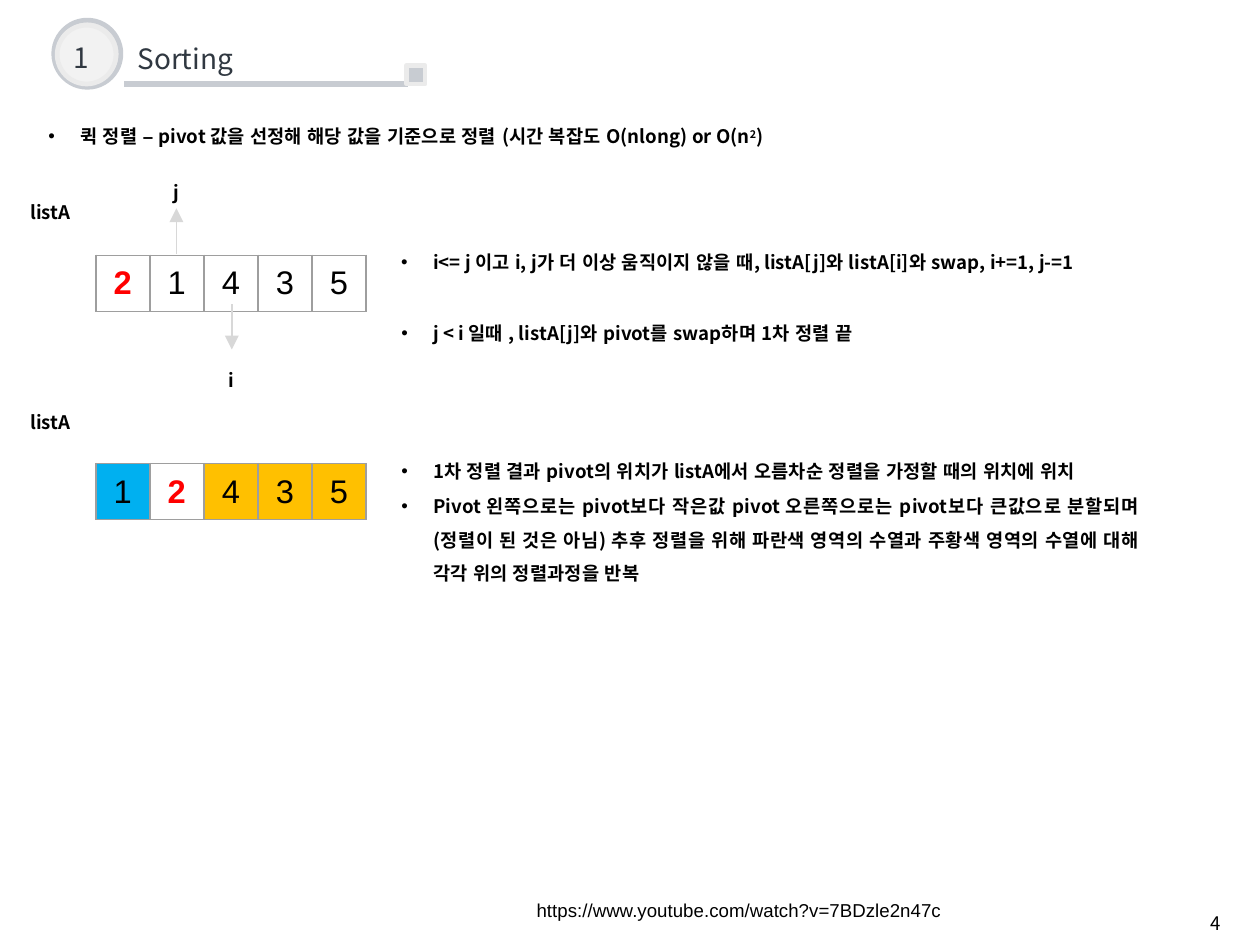
from lxml.etree import SubElement
from pptx import Presentation
from pptx.dml.color import RGBColor
from pptx.enum.shapes import MSO_CONNECTOR, MSO_SHAPE
from pptx.enum.text import MSO_ANCHOR, MSO_AUTO_SIZE, PP_ALIGN
from pptx.oxml.ns import qn
from pptx.util import Inches, Pt

SANS = "Noto Sans CJK KR"
ARIAL = "Arial"
BLACK = RGBColor(0x00, 0x00, 0x00)
RED = RGBColor(0xFF, 0x00, 0x00)
BLUE = RGBColor(0x00, 0xB0, 0xF0)
ORANGE = RGBColor(0xFF, 0xC0, 0x00)
TITLE = RGBColor(0x30, 0x38, 0x41)
FRAME = RGBColor(0xC8, 0xCC, 0xD2)
RIM = RGBColor(0xEB, 0xEB, 0xEB)
DISC = RGBColor(0xF2, 0xF2, 0xF2)
ARROW = RGBColor(0xD8, 0xD8, 0xD8)
BORDER = "9E9E9E"
ARRAY_W, ARRAY_H = 1.61, 0.29


def style_run(r, size, color, name, bold=False):
    f = r.font
    f.size, f.bold, f.name = Pt(size), bold, name
    f.color.rgb = color
    SubElement(r._r.get_or_add_rPr(), qn("a:ea"), typeface=ARIAL)


def add_text(s, box, text, size=8, color=BLACK, name=SANS, bold=False,
             align=PP_ALIGN.LEFT, wrap=True):
    tb = s.shapes.add_textbox(*map(Inches, box))
    tf = tb.text_frame
    tf.word_wrap = wrap
    tf.auto_size = MSO_AUTO_SIZE.NONE
    p = tf.paragraphs[0]
    p.text = text
    p.alignment = align
    style_run(p.runs[0], size, color, name, bold)
    return p


def space_lines(p):
    p.line_spacing = 1.5
    p.space_after = Pt(0.8)


def add_label(s, box, text):
    space_lines(add_text(s, box, text, bold=True, align=PP_ALIGN.CENTER))


def add_bullets(s, box, items):
    """Each item is a list of (text, is_superscript) pieces."""
    tf = s.shapes.add_textbox(*map(Inches, box)).text_frame
    tf.word_wrap = True
    for i, pieces in enumerate(items):
        p = tf.add_paragraph() if i else tf.paragraphs[0]
        p.alignment = PP_ALIGN.JUSTIFY
        space_lines(p)
        pPr = p._p.get_or_add_pPr()
        pPr.set("marL", str(Inches(0.19)))
        pPr.set("indent", str(Inches(-0.19)))
        SubElement(SubElement(pPr, qn("a:buClr")), qn("a:srgbClr"), val=str(BLACK))
        SubElement(pPr, qn("a:buFont"), typeface=ARIAL)
        SubElement(pPr, qn("a:buChar"), char="•")
        for text, is_super in pieces:
            r = p.add_run()
            r.text = text
            style_run(r, 8, BLACK, SANS, bold=True)
            if is_super:
                r._r.get_or_add_rPr().set("baseline", "30000")


def add_plain_shape(s, kind, box, fill, line):
    sp = s.shapes.add_shape(kind, *map(Inches, box))
    sp.shadow.inherit = False
    sp.fill.solid()
    sp.fill.fore_color.rgb = fill
    sp.line.color.rgb = line
    sp.line.width = Pt(2)


def add_line(s, start, end, color, width, arrow=False):
    c = s.shapes.add_connector(MSO_CONNECTOR.STRAIGHT, *map(Inches, start + end))
    c.line.color.rgb = color
    c.line.width = Pt(width)
    if arrow:
        SubElement(c.line._get_or_add_ln(), qn("a:tailEnd"), type="triangle")
    SubElement(c._element.spPr, qn("a:effectLst"))


def add_heading(s, x, y, number, title):
    add_plain_shape(s, MSO_SHAPE.OVAL, (x, y, 0.4, 0.4), RIM, FRAME)
    add_plain_shape(s, MSO_SHAPE.OVAL, (x + 0.02, y + 0.03, 0.35, 0.35), DISC, RIM)
    add_line(s, (x + 0.42, y + 0.38), (x + 2.11, y + 0.38), FRAME, 2.25)
    add_text(s, (x + 0.02, y + 0.07, 0.31, 0.3), number, 12, TITLE, wrap=False)
    add_text(s, (x + 0.4, y + 0.08, 0.9, 0.3), title, 12, TITLE, wrap=False)
    add_plain_shape(s, MSO_SHAPE.RECTANGLE, (x + 2.1, y + 0.27, 0.11, 0.11), FRAME, RIM)


def add_cell_borders(cell):
    tcPr = cell._tc.get_or_add_tcPr()
    for side in ("L", "R", "T", "B"):
        ln = SubElement(tcPr, qn(f"a:ln{side}"), w=str(Pt(0.75)))
        SubElement(SubElement(ln, qn("a:solidFill")), qn("a:srgbClr"), val=BORDER)


def add_array(s, x, y, values, pivot, fills):
    """One row of numbers; the pivot is bold red."""
    tbl = s.shapes.add_table(1, len(values), Inches(x), Inches(y),
                             Inches(ARRAY_W), Inches(ARRAY_H)).table
    tbl.first_row = tbl.horz_banding = False
    for cell, value, fill in zip(tbl.rows[0].cells, values, fills):
        add_cell_borders(cell)
        if fill is None:
            cell.fill.background()
        else:
            cell.fill.solid()
            cell.fill.fore_color.rgb = fill
        cell.vertical_anchor = MSO_ANCHOR.MIDDLE
        cell.margin_left = cell.margin_right = Inches(0.05)
        p = cell.text_frame.paragraphs[0]
        p.text = str(value)
        p.alignment = PP_ALIGN.CENTER
        is_pivot = value == pivot
        style_run(p.runs[0], 14, RED if is_pivot else BLACK, ARIAL, is_pivot)


def add_step(s, label_y, array_y, values, fills):
    """The listA label with its array below and to the right."""
    add_label(s, (0.03, label_y, 0.54, 0.3), "listA")
    add_array(s, 0.57, array_y, values, 2, fills)


def add_pointer(s, x, start, end, name, label_top):
    add_line(s, (x, start), (x, end), ARROW, 0.75, arrow=True)
    add_label(s, (x - 0.17, label_top, 0.34, 0.3), name)


def build_quick_sort(prs):
    s = prs.slides.add_slide(prs.slide_layouts[6])
    add_heading(s, 0.32, 0.12, "1", "Sorting")
    add_bullets(s, (0.19, 0.63, 6.86, 0.29), [[
        ("퀵 정렬 – pivot 값을 선정해 해당 값을 기준으로 정렬 (시간 복잡도 O(nlong) or O(n", False),
        ("2", True), (")", False)]])

    add_step(s, 1.08, 1.52, [2, 1, 4, 3, 5], [None] * 5)
    add_pointer(s, 1.38, 1.81, 2.08, "i", 2.08)
    add_pointer(s, 1.05, 1.51, 1.24, "j", 0.96)
    add_bullets(s, (2.29, 1.38, 4.87, 0.3), [[
        ("i<= j 이고 i, j가 더 이상 움직이지 않을 때, listA[j]와 listA[i]와 swap, i+=1, j-=1", False)]])
    add_bullets(s, (2.29, 1.8, 4.59, 0.3), [[
        ("j < i 일때 , listA[j]와 pivot를 swap하며 1차 정렬 끝", False)]])

    add_step(s, 2.33, 2.76, [1, 2, 4, 3, 5], [BLUE, None] + [ORANGE] * 3)
    add_bullets(s, (2.29, 2.62, 4.59, 0.92), [
        [("1차 정렬 결과 pivot의 위치가 listA에서 오름차순 정렬을 가정할 때의 위치에 위치", False)],
        [("Pivot 왼쪽으로는 pivot보다 작은값 pivot 오른쪽으로는 pivot보다 큰값으로 분할되며 "
          "(정렬이 된 것은 아님) 추후 정렬을 위해 파란색 영역의 수열과 주황색 영역의 수열에 대해 "
          "각각 위의 정렬과정을 반복", False)]])

    add_text(s, (2.22, 5.3, 4.36, 0.24), "https://www.youtube.com/watch?v=7BDzle2n47c",
             name=ARIAL, align=PP_ALIGN.CENTER)
    add_text(s, (7.11, 5.38, 0.49, 0.33), "4")


def main():
    prs = Presentation()
    prs.slide_width = Inches(7.5)
    prs.slide_height = prs.slide_width * 3 // 4
    build_quick_sort(prs)
    prs.save("out.pptx")


if __name__ == "__main__":
    main()
